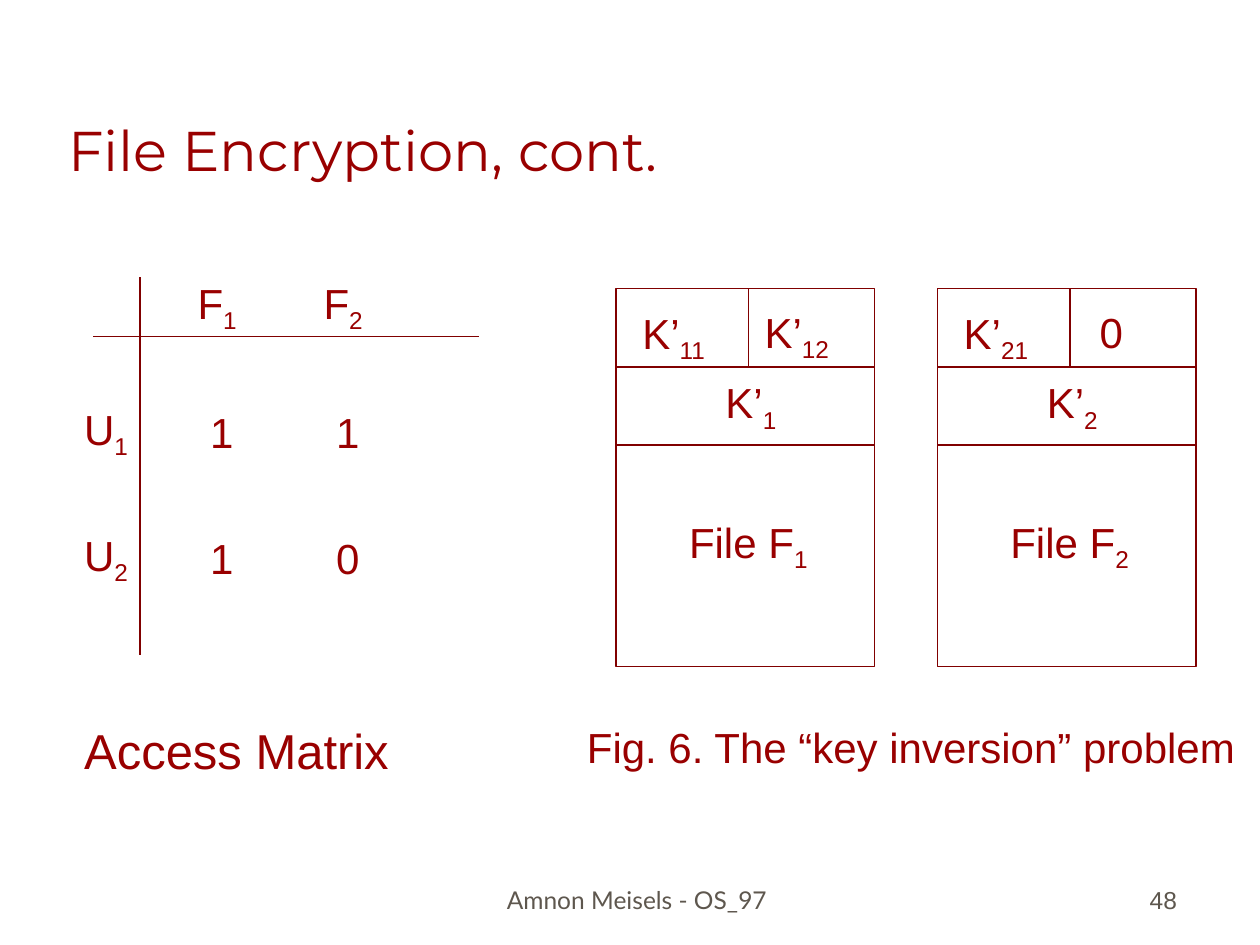
"""Build the file encryption slide: an access matrix beside two encrypted file records."""
from dataclasses import dataclass

from lxml import etree
from pptx import Presentation
from pptx import util as u
from pptx.dml.color import RGBColor
from pptx.enum import shapes, text
from pptx.oxml.ns import qn


@dataclass(frozen=True)
class Theme:
    ink: str = "990000"
    rule: str = "800000"
    muted: str = "5E574E"
    heading: str = "Montserrat"
    body: str = "Arial"
    footer: str = "Lato"
    title_size: int = 32
    caption_size: int = 28
    body_size: int = 24
    footer_size: int = 14


THEME = Theme()
ALIGN = text.PP_ALIGN
ANCHOR = text.MSO_ANCHOR

TITLE = "File Encryption, cont."
COLUMN_HEADS = [("F", "1"), ("F", "2")]
ROW_HEADS = [("U", "1"), ("U", "2")]
ACCESS = [["1", "1"], ["1", "0"]]
RECORDS = [
    {"users": [("K’", "11"), ("K’", "12")], "key": ("K’", "1"), "file": ("File F", "1")},
    {"users": [("K’", "21"), ("0", "")], "key": ("K’", "2"), "file": ("File F", "2")},
]
MATRIX_CAPTION = "Access Matrix"
RECORD_CAPTION = "Fig. 6. The “key inversion” problem"
FOOTER, PAGE_NUMBER = "Amnon Meisels - OS_97", "48"

MATRIX_LEFT, MATRIX_TOP = 0.57, 2.15
COLUMN, ROW = 1.0, 1.0
HEAD_SIZE = (0.64, 0.56)
MARK_SIZE = (0.59, 0.5)
RECORD_LEFT, RECORD_TOP, RECORD_STEP = 4.89, 2.29, 2.55
RECORD_WIDTH, RECORD_HEIGHT = 2.05, 3.0
BAND = 0.62
KEY_SIZE, FILE_SIZE = (0.97, 0.56), (1.31, 0.56)


def style(paragraph, size, font, color):
    paragraph.font.size = u.Pt(size)
    paragraph.font.name = font
    paragraph.font.color.rgb = RGBColor.from_string(color)


def add_label(page, left, top, size, label, points=THEME.body_size, font=THEME.body,
              color=THEME.ink, align=ALIGN.LEFT, anchor=ANCHOR.TOP):
    base, subscript = (label, "") if isinstance(label, str) else label
    box = page.shapes.add_textbox(*map(u.Inches, (left, top, *size)))
    frame = box.text_frame
    frame.word_wrap = True
    frame.vertical_anchor = anchor
    para = frame.paragraphs[0]
    para.alignment = align
    style(para, points, font, color)
    para.add_run().text = base
    if subscript:
        span = para.add_run()
        span.text = subscript
        span._r.get_or_add_rPr().set("baseline", "-25000")


def add_rule(page, *ends):
    rule = page.shapes.add_connector(shapes.MSO_CONNECTOR.STRAIGHT, *map(u.Inches, ends))
    rule.line.color.rgb = RGBColor.from_string(THEME.rule)
    rule.line.width = u.Pt(1)
    etree.SubElement(rule._element.spPr, qn("a:effectLst"))


def add_title(page):
    title = page.shapes.title
    title.left, title.top, title.width, title.height = map(u.Inches, (0.44, 0.25, 8.5, 1.25))
    title.text_frame.text = TITLE
    title.text_frame.vertical_anchor = ANCHOR.BOTTOM
    para = title.text_frame.paragraphs[0]
    para.alignment = ALIGN.LEFT
    style(para, THEME.title_size, THEME.heading, THEME.ink)


def add_matrix(page):
    add_rule(page, 1.11, 2.2, 1.11, 5.2)
    add_rule(page, 0.74, 2.67, 3.8, 2.67)
    for index, head in enumerate(COLUMN_HEADS):
        add_label(page, MATRIX_LEFT + 0.9 + index * COLUMN, MATRIX_TOP, HEAD_SIZE, head)
    for row, (head, marks) in enumerate(zip(ROW_HEADS, ACCESS), start=1):
        top = MATRIX_TOP + row * ROW
        add_label(page, MATRIX_LEFT, top, HEAD_SIZE, head)
        for column, mark in enumerate(marks, start=1):
            add_label(page, MATRIX_LEFT + column * COLUMN, top + 0.03, MARK_SIZE, mark)


def add_record(page, left, record):
    top, right = RECORD_TOP, left + RECORD_WIDTH
    middle = left + 1.05
    frame = page.shapes.add_shape(shapes.MSO_SHAPE.RECTANGLE, *map(
        u.Inches, (left, top, RECORD_WIDTH, RECORD_HEIGHT)))
    frame.shadow.inherit = False
    frame.fill.background()
    frame.line.color.rgb = RGBColor.from_string(THEME.rule)
    frame.line.width = u.Pt(1)
    for band in (1, 2):
        add_rule(page, left, top + band * BAND, right, top + band * BAND)
    add_rule(page, middle, top, middle, top + BAND)
    first, second = record["users"]
    add_label(page, left + 0.11, top + 0.1, KEY_SIZE, first)
    add_label(page, left + (1.08 if second[1] else 1.19), top + 0.09, KEY_SIZE, second)
    add_label(page, left + 0.77, top + BAND + 0.03, KEY_SIZE, record["key"])
    add_label(page, left + 0.48, top + 1.76, FILE_SIZE, record["file"])


def main():
    deck = Presentation()
    deck.slide_width, deck.slide_height = u.Inches(10), u.Inches(7.5)
    page = deck.slides.add_slide(deck.slide_layouts.get_by_name("Title Only"))
    add_title(page)
    add_matrix(page)
    for index, record in enumerate(RECORDS):
        add_record(page, RECORD_LEFT + index * RECORD_STEP, record)
    add_label(page, MATRIX_LEFT, 5.67, (3.08, 0.57), MATRIX_CAPTION, THEME.caption_size)
    add_label(page, 4.56, 5.68, (5.44, 0.5), RECORD_CAPTION)
    add_label(page, 3.42, 6.81, (3.27, 0.5), FOOTER, THEME.footer_size, THEME.footer,
              THEME.muted, ALIGN.CENTER, ANCHOR.BOTTOM)
    add_label(page, 7.36, 6.81, (2.08, 0.5), PAGE_NUMBER, THEME.footer_size, THEME.body,
              THEME.muted, ALIGN.RIGHT, ANCHOR.BOTTOM)
    deck.save("out.pptx")


if __name__ == "__main__":
    main()
